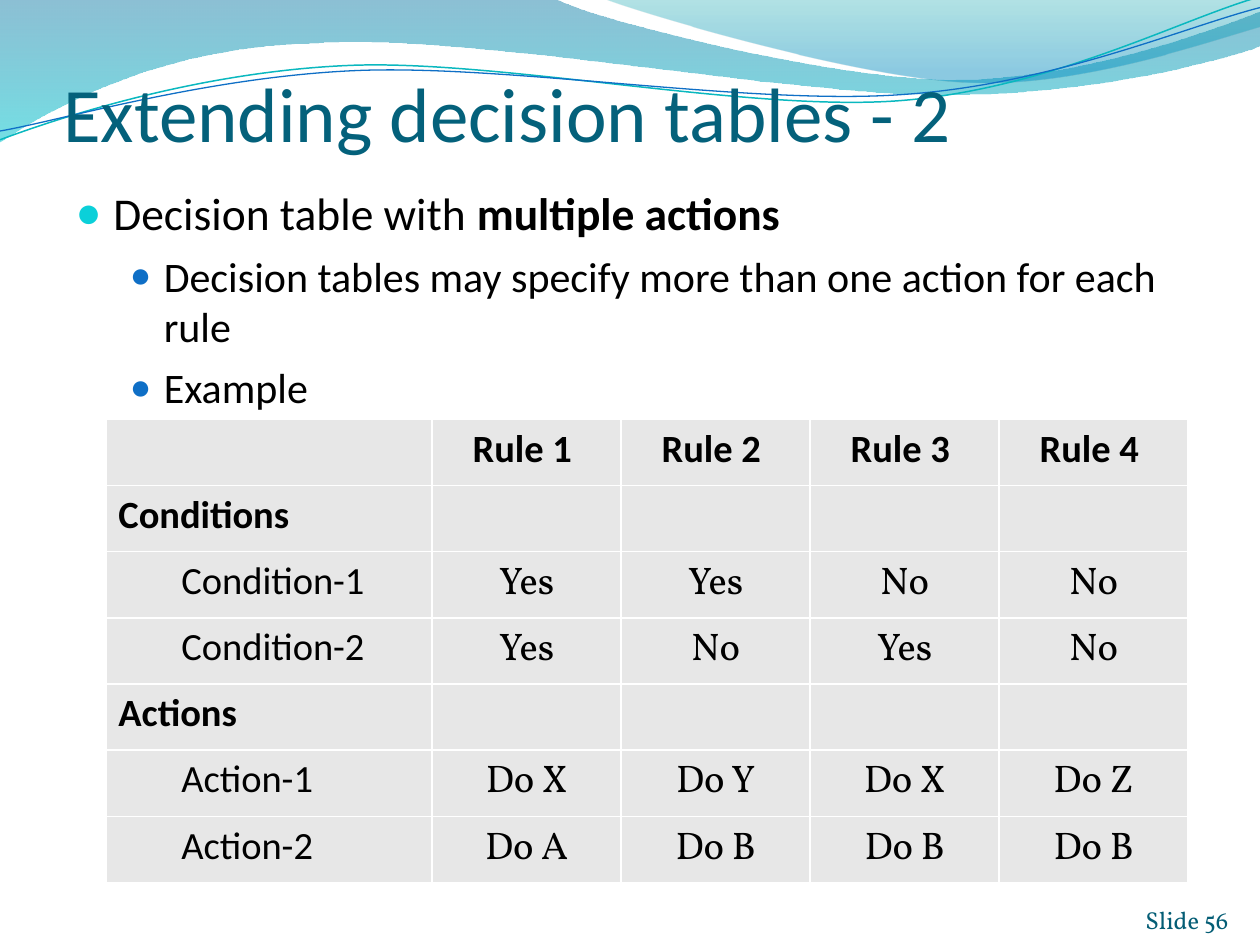
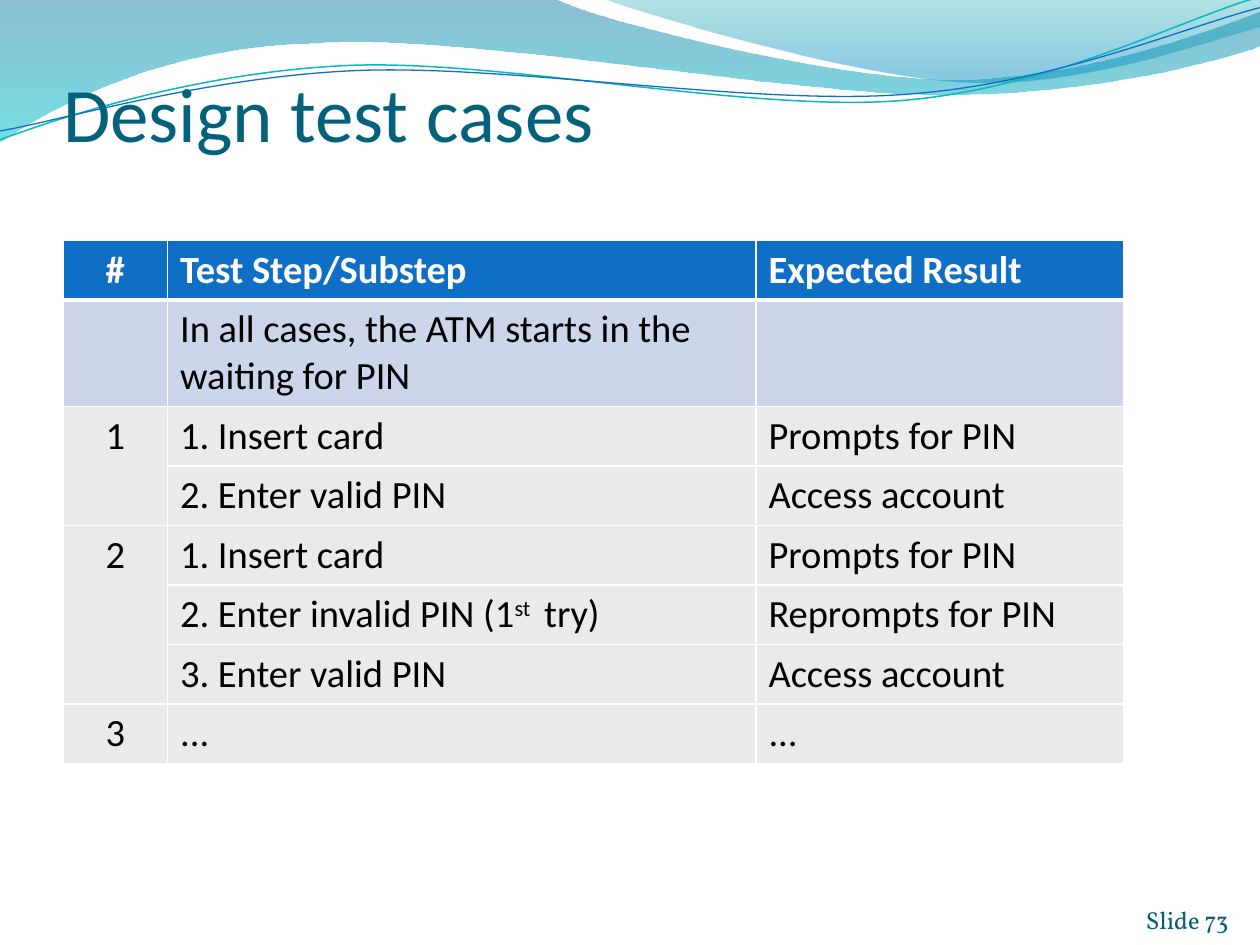
import math

import lxml.etree
import pptx
import pptx.dml.color
import pptx.enum.text
import pptx.oxml
import pptx.oxml.ns
import pptx.util

Inches = pptx.util.Inches
Pt = pptx.util.Pt
RGBColor = pptx.dml.color.RGBColor
Align = pptx.enum.text.PP_ALIGN
Anchor = pptx.enum.text.MSO_ANCHOR
qn = pptx.oxml.ns.qn

SANS, SERIF = "Calibri", "Vollkorn"
BLACK = RGBColor(0x00, 0x00, 0x00)
WHITE = RGBColor(0xFF, 0xFF, 0xFF)
TITLE_TEAL = RGBColor(0x04, 0x61, 0x7B)
FOOTER_TEAL = RGBColor(0x04, 0x5D, 0x75)
BLUE = RGBColor(0x0F, 0x6F, 0xC6)
CYAN = RGBColor(0x0B, 0xD0, 0xD9)
TURQUOISE = RGBColor(0x0A, 0xB8, 0xBF)
RULE_GRAY = RGBColor(0xE7, 0xE7, 0xE7)
STEP_GRAY = RGBColor(0xEA, 0xEA, 0xEA)
PALE_BLUE = RGBColor(0xCC, 0xD5, 0xEA)
DEEP_SEA = RGBColor(0x00, 0x74, 0xA1)
LAGOON = RGBColor(0x00, 0xC6, 0xCF)
SEA_GREEN = RGBColor(0x00, 0xA1, 0xA9)
SKY = RGBColor(0x00, 0x8B, 0xBF)

# A path is a start point, then line ends (2 numbers) or curves (6 numbers).
# Gradient stops are (percent, colour, opacity percent), from top to bottom.
BANDS = [
    {"box": (-0.01, -0.01, 10.02, 1.14), "turn": 0,
     "path": [(0, 0), (4.4, -0.01), (4.76, 0.17, 6.64, 0.63, 7.58, 0.63),
              (8.53, 0.63, 9.58, 0.26, 10, 0.09), (10.01, 0.36),
              (9.83, 0.44, 8.7, 0.76, 7.46, 0.75),
              (6.22, 0.75, 3.82, 0.28, 2.57, 0.34),
              (1.29, 0.36, 0.46, 0.83, -0.01, 1.13), (0, 0)],
     "stops": [(0, DEEP_SEA, 45), (100, LAGOON, 55)]},
    {"box": (4.79, -0.01, 5.21, 0.7), "turn": 0,
     "path": [(4.79, -0.01), (5.09, 0.11, 6.82, 0.62, 7.69, 0.65),
              (8.56, 0.69, 9.61, 0.32, 10, 0.21), (10, 0), (4.79, -0.01)],
     "stops": [(0, SEA_GREEN, 30), (80, SKY, 45)]},
    {"box": (-0.02, 0.22, 10.02, 0.71), "turn": 357.3,
     "path": [(0, 1.11), (0.48, 0.93, 1.58, 0.57, 2.77, 0.52),
              (3.95, 0.47, 5.93, 0.89, 7.13, 0.8),
              (8.33, 0.71, 9.38, 0.15, 9.98, -0.02)],
     "line": (TURQUOISE, 0.85)},
    {"box": (-0.02, 0.3, 10.03, 0.58), "turn": 357.3,
     "path": [(0, 1.04), (0.47, 0.96, 1.64, 0.61, 2.83, 0.56),
              (4.03, 0.51, 5.97, 0.84, 7.17, 0.75),
              (8.36, 0.67, 9.41, 0.21, 10, 0.06)],
     "line": (BLUE, 0.75)},
]

BULLETS = [
    (0, [("Decision table with ", {}), ("multiple actions", {"bold": True})]),
    (1, [("Decision tables may specify more than one action for each rule", {})]),
    (1, [("Example", {})]),
]
BULLET_LEVELS = [
    {"left": 0.3, "hang": 0.3, "size": 26, "color": CYAN, "percent": 95},
    {"left": 0.7, "hang": 0.27, "size": 24, "color": BLUE, "percent": 85},
]

RULE_ROWS = [
    ["", "Rule 1 ", "Rule 2 ", "Rule 3 ", "Rule 4 "],
    ["Conditions", "", "", "", ""],
    ["Condition-1", "Yes", "Yes", "No", "No"],
    ["Condition-2", "Yes", "No", "Yes", "No"],
    ["Actions", "", "", "", ""],
    ["Action-1", "Do X", "Do Y", "Do X", "Do Z"],
    ["Action-2", "Do A", "Do B", "Do B", "Do B"],
]
SECTION_NAMES = ("Conditions", "Actions")

STEP_HEADER = ["#", "Test Step/Substep", "Expected Result"]
STEP_INTRO = "In all cases, the ATM starts in the waiting for PIN"
TEST_CASES = [
    ("1", [("1. Insert card", "Prompts for PIN"),
           ("2. Enter valid PIN", "Access account")]),
    ("2", [("1. Insert card", "Prompts for PIN"),
           ([("2. Enter invalid PIN (1", {}), ("st ", {"raised": True}),
             (" try)", {})], "Reprompts for PIN"),
           ("3. Enter valid PIN", "Access account")]),
    ("3", [("...", "...")]),
]


def write(para, text, size=22, color=BLACK, font=SANS, bold=False, raised=False):
    span = para.add_run()
    span.text = text
    span.font.size = Pt(size)
    span.font.name = font
    span.font.bold = bold
    span.font.color.rgb = color
    if raised:
        span.font._element.set("baseline", "30000")


def place(shape, left, top, width, height):
    shape.left, shape.top = Inches(left), Inches(top)
    shape.width, shape.height = Inches(width), Inches(height)


def to_box(x, y, box, turn):
    """Give a page point as EMU inside a box, before the box is turned."""
    left, top, width, height = box
    angle = math.radians(-turn)
    dx, dy = x - left - width / 2, y - top - height / 2
    return (Inches(width / 2 + dx * math.cos(angle) - dy * math.sin(angle)),
            Inches(height / 2 + dx * math.sin(angle) + dy * math.cos(angle)))


def add_curve(slide, path, box, turn):
    """Add a freeform and give its outline true curves."""
    builder = slide.shapes.build_freeform(0, 0)
    builder.add_line_segments([(Inches(1), Inches(1))], close=False)
    shape = builder.convert_to_shape()
    place(shape, *box)
    shape.rotation = turn
    outline = next(shape.element.iter(qn("a:path")))
    for child in list(outline):
        outline.remove(child)
    outline.set("w", str(Inches(box[2])))
    outline.set("h", str(Inches(box[3])))
    for index, piece in enumerate(path):
        kind = "cubicBezTo" if len(piece) == 6 else "lnTo" if index else "moveTo"
        step = lxml.etree.SubElement(outline, qn(f"a:{kind}"))
        for point in zip(piece[::2], piece[1::2]):
            x, y = to_box(*point, box, turn)
            lxml.etree.SubElement(step, qn("a:pt"), x=str(x), y=str(y))
    if path[0] == path[-1]:
        lxml.etree.SubElement(outline, qn("a:close"))
    return shape


def fill_gradient(shape, stops):
    shape.fill.gradient()
    gradient = shape.element.spPr.find(qn("a:gradFill"))
    for child in list(gradient):
        gradient.remove(child)
    stop_list = lxml.etree.SubElement(gradient, qn("a:gsLst"))
    for position, color, opacity in stops:
        stop = lxml.etree.SubElement(stop_list, qn("a:gs"), pos=str(position * 1000))
        shade = lxml.etree.SubElement(stop, qn("a:srgbClr"), val=str(color))
        lxml.etree.SubElement(shade, qn("a:alpha"), val=str(opacity * 1000))
    lxml.etree.SubElement(gradient, qn("a:lin"), ang="5400000", scaled="0")


def move_bands_to_master(deck, slide):
    """Draw the wave bands on a slide, then put them behind every slide."""
    for index, band in enumerate(BANDS):
        shape = add_curve(slide, band["path"], band["box"], band["turn"])
        shape.shadow.inherit = False
        if "stops" in band:
            fill_gradient(shape, band["stops"])
            shape.line.fill.background()
        else:
            color, width = band["line"]
            shape.fill.background()
            shape.line.color.rgb = color
            shape.line.width = Pt(width)
        deck.slide_master.shapes.element.insert(2 + index, shape.element)


def set_frame(frame, top=0):
    frame.word_wrap = True
    frame.auto_size = pptx.enum.text.MSO_AUTO_SIZE.NONE
    frame.vertical_anchor = Anchor.BOTTOM
    frame.margin_left = frame.margin_right = frame.margin_bottom = 0
    frame.margin_top = Inches(top)


def add_slide(deck, layout_index, title, number):
    slide = deck.slides.add_slide(deck.slide_layouts[layout_index])
    heading = slide.shapes.title
    place(heading, 0.5, 0.42, 9.17, 0.83)
    set_frame(heading.text_frame, top=0.05)
    para = heading.text_frame.paragraphs[0]
    para.alignment = Align.LEFT
    write(para, title, size=44, color=TITLE_TEAL)

    footer = slide.shapes.add_textbox(*map(Inches, (8.92, 7.02, 0.83, 0.4)))
    set_frame(footer.text_frame)
    para = footer.text_frame.paragraphs[0]
    para.alignment = Align.RIGHT
    write(para, f"Slide {number}", size=14, color=FOOTER_TEAL, font=SERIF)
    return slide


def add_bullets(body):
    place(body, 0.5, 1.42, 9.17, 5.75)
    frame = body.text_frame
    frame.auto_size = pptx.enum.text.MSO_AUTO_SIZE.NONE
    for index, (level, spans) in enumerate(BULLETS):
        style = BULLET_LEVELS[level]
        para = frame.add_paragraph() if index else frame.paragraphs[0]
        para.level = level
        properties = para._p.get_or_add_pPr()
        properties.set("marL", str(Inches(style["left"])))
        properties.set("indent", str(-Inches(style["hang"])))
        tint = lxml.etree.SubElement(properties, qn("a:buClr"))
        lxml.etree.SubElement(tint, qn("a:srgbClr"), val=str(style["color"]))
        lxml.etree.SubElement(properties, qn("a:buSzPct"), val=str(style["percent"] * 1000))
        lxml.etree.SubElement(properties, qn("a:buChar"), char="●")
        para.space_before = Pt(6 if index else 0)
        for text, look in spans:
            write(para, text, size=style["size"], **look)


def add_grid(slide, left, top, widths, heights):
    size = map(Inches, (left, top, sum(widths), sum(heights)))
    table = slide.shapes.add_table(len(heights), len(widths), *size).table
    for column, width in zip(table.columns, widths):
        column.width = Inches(width)
    for row, height in zip(table.rows, heights):
        row.height = Inches(height)
    return table


def fill_cell(cell, content, fill, centered=False, indent=0, bottom_line=1, **look):
    """Write a cell; content is a text or a list of (text, format) spans."""
    cell.fill.solid()
    cell.fill.fore_color.rgb = fill
    properties = cell._tc.get_or_add_tcPr()
    for index, side in enumerate("LRTB"):
        width = Pt(bottom_line if side == "B" else 1)
        border = pptx.oxml.parse_xml(
            f'<a:ln{side} {pptx.oxml.ns.nsdecls("a")} w="{width}"><a:solidFill>'
            f'<a:srgbClr val="{WHITE}"/></a:solidFill></a:ln{side}>')
        properties.insert(index, border)
    para = cell.text_frame.paragraphs[0]
    if centered:
        para.alignment = Align.CENTER
    if indent:
        para._p.get_or_add_pPr().set("marL", str(Inches(indent)))
    spans = [(content, {})] if isinstance(content, str) else content
    for text, span_look in spans:
        if text:
            write(para, text, **look, **span_look)


def add_rule_table(slide):
    table = add_grid(slide, 0.84, 3.33, [2.59] + [1.5] * 4, [3.67 / 7] * len(RULE_ROWS))
    for r, row in enumerate(RULE_ROWS):
        for c, text in enumerate(row):
            is_name = c == 0 and text and text not in SECTION_NAMES
            fill_cell(table.cell(r, c), text, RULE_GRAY, centered=c > 0,
                      indent=0.5 if is_name else 0,
                      bold=r == 0 or text in SECTION_NAMES,
                      font=SERIF if r and c else SANS)


def add_step_table(slide):
    rows = [STEP_HEADER, ["", STEP_INTRO, ""]]
    merges = []
    for number, steps in TEST_CASES:
        merges.append((len(rows), len(rows) + len(steps) - 1))
        rows += [[number if index == 0 else "", *step] for index, step in enumerate(steps)]
    heights = [0.84 if row[1] == STEP_INTRO else 0.47 for row in rows]
    table = add_grid(slide, 0.5, 1.91, [0.83, 4.67, 2.92], heights)
    for r, row in enumerate(rows):
        fill = {0: BLUE, 1: PALE_BLUE}.get(r, STEP_GRAY)
        for c, content in enumerate(row):
            fill_cell(table.cell(r, c), content, fill, centered=c == 0,
                      bottom_line=1 if r else 3, bold=r == 0,
                      color=BLACK if r else WHITE)
    for first, last in merges:
        if last > first:
            table.cell(first, 0).merge(table.cell(last, 0))


def main():
    deck = pptx.Presentation()
    deck.slide_width, deck.slide_height = Inches(10), Inches(7.5)

    rules = add_slide(deck, 1, "Extending decision tables - 2", 56)
    move_bands_to_master(deck, rules)
    add_bullets(rules.placeholders[1])
    add_rule_table(rules)

    steps = add_slide(deck, 5, "Design test cases", 73)
    add_step_table(steps)

    deck.save("out.pptx")


if __name__ == "__main__":
    main()
